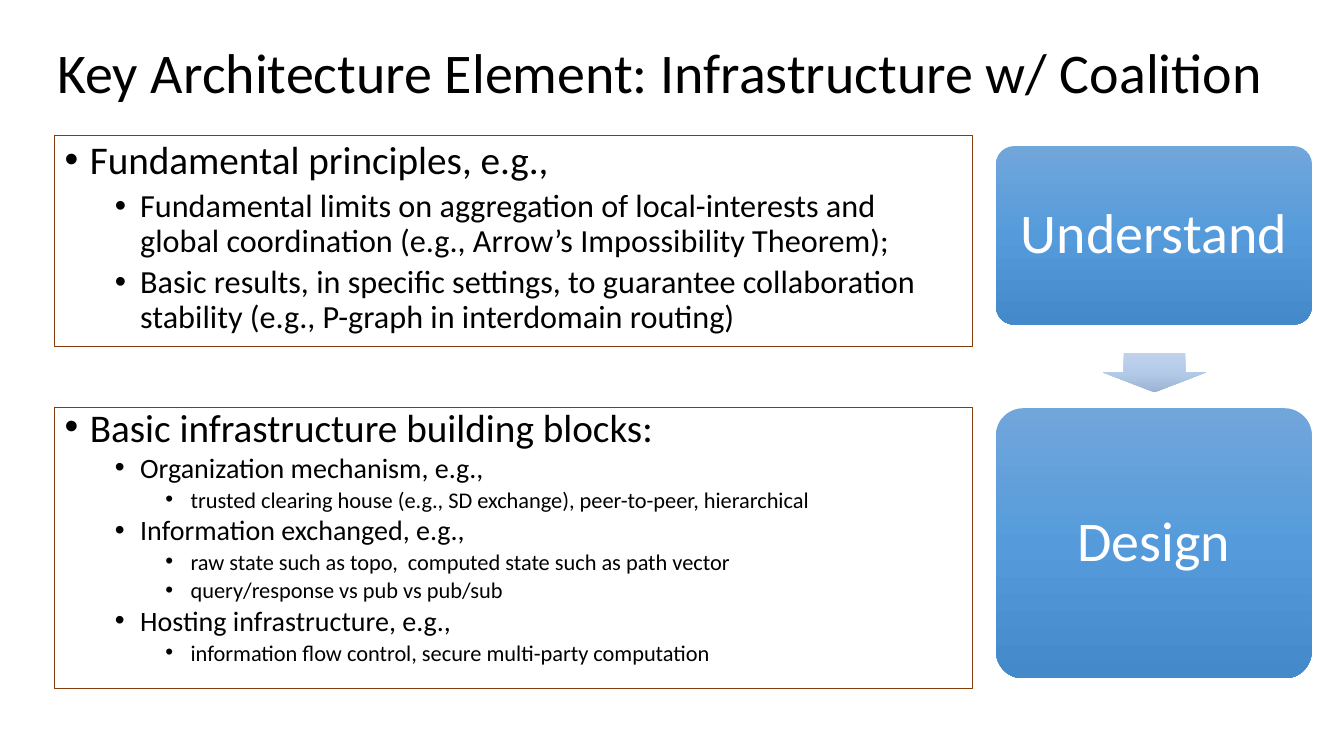
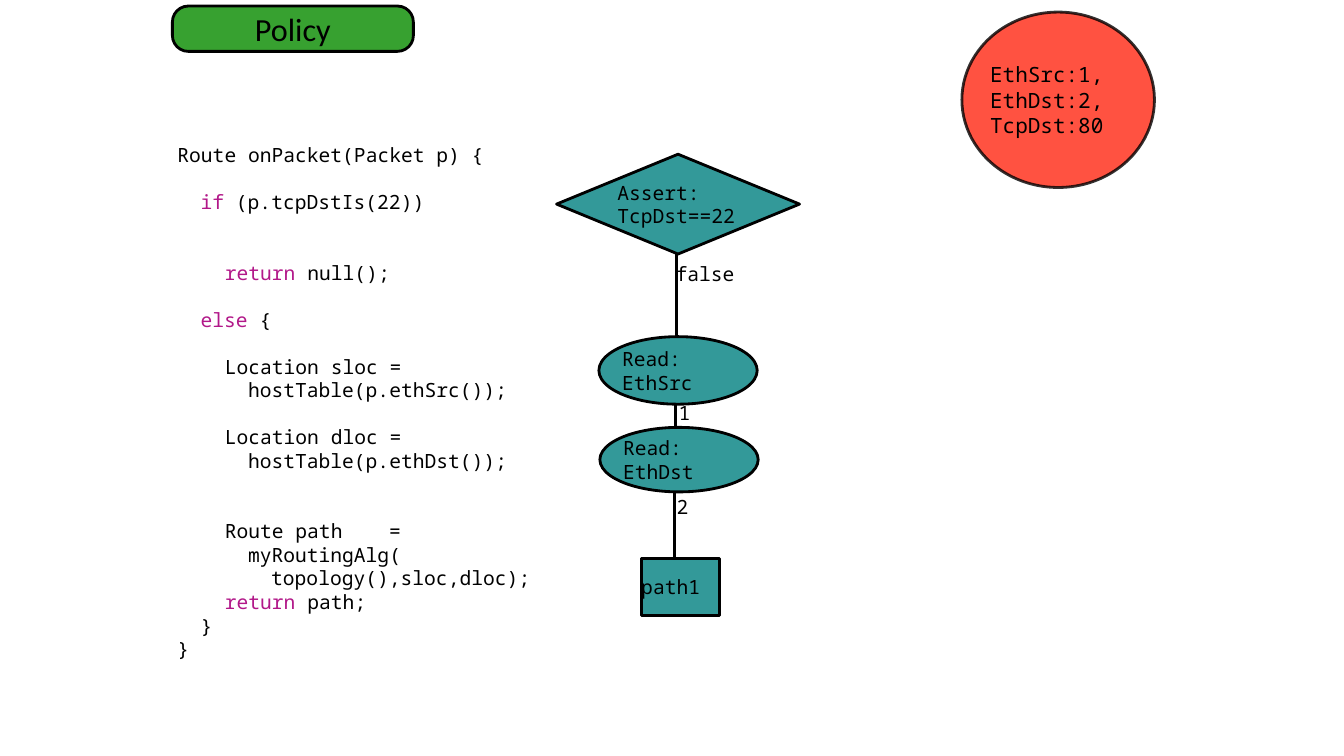
from lxml import etree
from pptx import Presentation
from pptx.dml.color import RGBColor
from pptx.enum.shapes import MSO_CONNECTOR, MSO_SHAPE
from pptx.enum.text import MSO_ANCHOR, MSO_AUTO_SIZE, PP_ALIGN
from pptx.oxml.ns import qn
from pptx.util import Inches, Pt

# Shared style
COLORS = {"ink": "000000", "white": "FFFFFF", "frame": "843C0B", "policy": "37A130",
          "node": "339999", "packet": "FF2712", "keyword": "B21889"}
STEP_FADE = ("71A6DB", "559BDB", "448ACA")
ARROW_FADE = ("C0D2EB", "B3CBE9", "9BB4D3")
SANS, MONO = "Calibri", "Noto Sans Mono"
MONO_SIZE = 14
MONO_LEADING = 1.2

# Slide 1 content: (level, size, text)
ARCHITECTURE_TITLE = "Key Architecture Element: Infrastructure w/ Coalition"
PRINCIPLES = [
    (0, 28, "Fundamental principles, e.g.,"),
    (1, 23, "Fundamental limits on aggregation of local-interests and global "
            "coordination (e.g., Arrow’s Impossibility Theorem);"),
    (1, 23, "Basic results, in specific settings, to guarantee collaboration "
            "stability (e.g., P-graph in interdomain routing)"),
]
BUILDING_BLOCKS = [
    (0, 28, "Basic infrastructure building blocks:"),
    (1, 20, "Organization mechanism, e.g.,"),
    (2, 16, "trusted clearing house (e.g., SD exchange), peer-to-peer, hierarchical"),
    (1, 20, "Information exchanged, e.g.,"),
    (2, 16, "raw state such as topo,  computed state such as path vector"),
    (2, 16, "query/response vs pub vs pub/sub"),
    (1, 20, "Hosting infrastructure, e.g.,"),
    (2, 16, "information flow control, secure multi-party computation"),
]
# (top, height, line spacing, items)
PANELS = [(1.34, 2.1, 0.9, PRINCIPLES), (4.04, 2.79, 0.8, BUILDING_BLOCKS)]
# (label, top, height)
STEPS = [("Understand", 1.45, 1.77), ("Design", 4.05, 2.68)]

# Slide 2 content: (indent depth, empty rows above, keyword, rest of line)
CODE = [
    (0, 0, "", "Route onPacket(Packet p) {"),
    (1, 1, "if", " (p.tcpDstIs(22))"),
    (2, 2, "return", " null();"),
    (1, 1, "else", " {"),
    (2, 1, "", "Location sloc ="),
    (3, 0, "", "hostTable(p.ethSrc());"),
    (2, 1, "", "Location dloc ="),
    (3, 0, "", "hostTable(p.ethDst());"),
    (2, 2, "", "Route path\t="),
    (3, 0, "", "myRoutingAlg("),
    (4, 0, "", "topology(),sloc,dloc);"),
    (2, 0, "return", " path;"),
    (1, 0, "", "}"),
    (0, 0, "", "}"),
]
CODE_TABS = (0.23, 0.47, 0.7, 0.93, 2.1)
# (preset, place, lines)
NODES = [
    (MSO_SHAPE.DIAMOND, (5.52, 1.53, 2.41, 0.99), ["Assert:", "TcpDst==22"]),
    (MSO_SHAPE.OVAL, (5.94, 3.34, 1.57, 0.67), ["Read:", "EthSrc"]),
    (MSO_SHAPE.OVAL, (5.95, 4.24, 1.57, 0.64), ["Read:", "EthDst"]),
    (MSO_SHAPE.RECTANGLE, (6.36, 5.54, 0.78, 0.57), ["path1"]),
]
# (x, top, bottom)
LINKS = [(6.71, 2.48, 3.42), (6.7, 3.99, 4.23), (6.69, 4.88, 5.91)]
# (text, place)
LINK_LABELS = [("false", (6.7, 2.59, 0.59, 0.24)), ("1", (6.73, 3.97, 0.12, 0.24)),
               ("2", (6.71, 4.91, 0.12, 0.24))]
PACKET = ["EthSrc:1,", "EthDst:2,", "TcpDst:80"]


def rgb(name):
    return RGBColor.from_string(COLORS[name])


def place(shape, left, top, width, height):
    shape.left, shape.top = Inches(left), Inches(top)
    shape.width, shape.height = Inches(width), Inches(height)


def outline(shape, color, width):
    shape.line.color.rgb = rgb(color)
    shape.line.width = Pt(width)


def set_frame(shape, anchor, inset=None, wrap=True):
    frame = shape.text_frame
    frame.auto_size = MSO_AUTO_SIZE.NONE
    frame.word_wrap = wrap
    frame.vertical_anchor = anchor
    if inset is not None:
        frame.margin_left = frame.margin_right = Inches(inset)
        frame.margin_top = frame.margin_bottom = Inches(inset)
    return frame


def next_para(frame, index):
    return frame.add_paragraph() if index else frame.paragraphs[0]


def add_span(para, text, size, font=SANS, color="ink"):
    span = para.add_run()
    span.text = text
    span.font.size = Pt(size)
    span.font.name = font
    span.font.color.rgb = rgb(color)


def add_preset(page, preset, box, fill=None, adjustments=()):
    shape = page.shapes.add_shape(preset, *map(Inches, box))
    shape.shadow.inherit = False
    for index, value in enumerate(adjustments):
        shape.adjustments[index] = value
    if fill:
        shape.fill.solid()
        shape.fill.fore_color.rgb = rgb(fill)
    return shape


def fade(shape, stops):
    """Fill from top to bottom with evenly spaced colours."""
    shape.line.fill.background()
    shape.fill.gradient()
    shape.fill.gradient_angle = 270
    stop_list = shape.element.spPr.find(qn("a:gradFill")).find(qn("a:gsLst"))
    for old in list(stop_list):
        stop_list.remove(old)
    for index, color in enumerate(stops):
        position = str(100000 * index // (len(stops) - 1))
        stop = etree.SubElement(stop_list, qn("a:gs"), pos=position)
        etree.SubElement(stop, qn("a:srgbClr"), val=color)


def make_translucent(shape, percent):
    for color in shape.element.spPr.iter(qn("a:srgbClr")):
        etree.SubElement(color, qn("a:alpha"), val=str(percent * 1000))


def write_bullets(frame, items, spacing):
    for index, (level, size, text) in enumerate(items):
        para = next_para(frame, index)
        para.level = level
        para.line_spacing = spacing
        para.space_before = Pt(5 if level else 10)
        props = para._p.get_or_add_pPr()
        props.set("marL", str(Inches(0.25 + 0.5 * level)))
        props.set("indent", str(Inches(-0.25)))
        etree.SubElement(props, qn("a:buFont"), typeface="Arial")
        etree.SubElement(props, qn("a:buChar"), char="•")
        add_span(para, text, size)


def write_mono(shape, lines, size=MONO_SIZE, wrap=True):
    frame = set_frame(shape, MSO_ANCHOR.MIDDLE, 0, wrap)
    for index, text in enumerate(lines):
        para = next_para(frame, index)
        para.alignment = PP_ALIGN.LEFT
        para.line_spacing = Pt(size * MONO_LEADING)
        add_span(para, text, size, MONO)


def write_code(shape):
    frame = set_frame(shape, MSO_ANCHOR.MIDDLE, 0)
    row = MONO_SIZE * MONO_LEADING
    for index, (depth, gap, keyword, rest) in enumerate(CODE):
        para = next_para(frame, index)
        para.line_spacing = Pt(row)
        para.space_before = Pt(row * gap)
        tabs = etree.SubElement(para._p.get_or_add_pPr(), qn("a:tabLst"))
        for stop in CODE_TABS:
            etree.SubElement(tabs, qn("a:tab"), pos=str(Inches(stop)), algn="l")
        indent = "\t" * depth
        if keyword:
            add_span(para, indent + keyword, MONO_SIZE, MONO, "keyword")
            add_span(para, rest, MONO_SIZE, MONO)
        else:
            add_span(para, indent + rest, MONO_SIZE, MONO)


def build_architecture(deck):
    page = deck.slides.add_slide(deck.slide_layouts[3])
    title, *bodies = page.placeholders

    # Title
    place(title, 0.47, 0.34, 12.19, 0.82)
    para = set_frame(title, MSO_ANCHOR.MIDDLE).paragraphs[0]
    para.alignment = PP_ALIGN.LEFT
    para.line_spacing = 0.9
    add_span(para, ARCHITECTURE_TITLE, 40)

    # Framed lists
    for body, (top, height, spacing, items) in zip(bodies, PANELS):
        place(body, 0.54, top, 9.11, height)
        outline(body, "frame", 0.75)
        write_bullets(set_frame(body, MSO_ANCHOR.TOP), items, spacing)

    # Steps and the arrow between them
    for label, top, height in STEPS:
        step = add_preset(page, MSO_SHAPE.ROUNDED_RECTANGLE,
                          (9.88, top, 3.13, height), adjustments=[0.1])
        fade(step, STEP_FADE)
        para = set_frame(step, MSO_ANCHOR.MIDDLE, 0.17).paragraphs[0]
        para.alignment = PP_ALIGN.CENTER
        para.line_spacing = 0.9
        add_span(para, label, 40, color="white")
    arrow = add_preset(page, MSO_SHAPE.DOWN_ARROW, (10.94, 3.5, 1.02, 0.39),
                       adjustments=[0.6, 0.5])
    fade(arrow, ARROW_FADE)


def build_policy(deck):
    page = deck.slides.add_slide(deck.slide_layouts[5])

    # Title on a rounded tag, raised above the tag
    tag_box = (1.71, 0.06, 2.39, 0.45)
    tag = add_preset(page, MSO_SHAPE.ROUNDED_RECTANGLE, tag_box, "policy", [0.35])
    outline(tag, "ink", 2)
    title = page.shapes.title
    place(title, *tag_box)
    para = set_frame(title, MSO_ANCHOR.MIDDLE, 0).paragraphs[0]
    para.alignment = PP_ALIGN.CENTER
    add_span(para, "Policy", 23)
    tag.element.addnext(title.element)

    # Program
    write_code(page.shapes.add_textbox(*map(Inches, (1.76, 0.86, 3.55, 6.25))))

    # Packet
    packet = add_preset(page, MSO_SHAPE.OVAL, (9.54, 0.12, 1.91, 1.74), "packet")
    outline(packet, "ink", 2)
    make_translucent(packet, 80)
    write_mono(packet, PACKET, 15)

    # Trace tree
    for x, top, bottom in LINKS:
        link = page.shapes.add_connector(MSO_CONNECTOR.STRAIGHT, Inches(x), Inches(top),
                                         Inches(x), Inches(bottom))
        outline(link, "ink", 2)
        etree.SubElement(link.element.spPr, qn("a:effectLst"))
    for preset, box, lines in NODES:
        node = add_preset(page, preset, box, "node")
        outline(node, "ink", 2)
        write_mono(node, lines)
    for text, box in LINK_LABELS:
        write_mono(page.shapes.add_textbox(*map(Inches, box)), [text], wrap=False)


def main():
    deck = Presentation()
    deck.slide_width, deck.slide_height = Inches(13.33), Inches(7.5)
    build_architecture(deck)
    build_policy(deck)
    deck.save("out.pptx")


if __name__ == "__main__":
    main()
